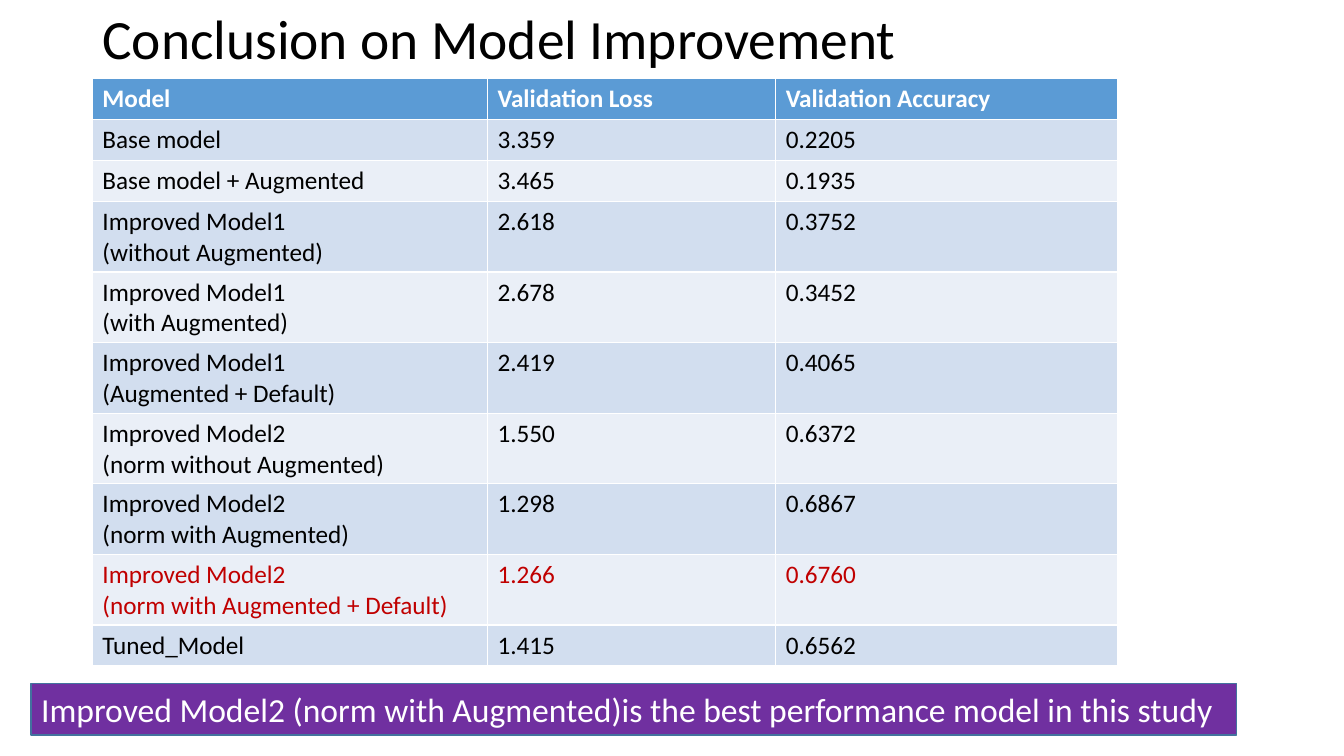
from typing import NamedTuple

from pptx import Presentation
from pptx import util as u
from pptx.dml.color import RGBColor
from pptx.enum import shapes, text

FONT = "Calibri"
BLACK, WHITE, RED = "000000", "FFFFFF", "C00000"
HEAD_FILL, BANDS = "5B9BD5", ("D2DEEF", "EAEFF7")
LINE_ROW, PAIR_ROW = 29.2, 50.4
WIDTHS = (282.2, 205.9, 244.1)


class Score(NamedTuple):
    model: str
    loss: str
    rate: str
    ink: str = BLACK


HEAD = Score("Model", "Validation Loss", "Validation Accuracy", WHITE)
SCORES = [
    Score("Base model", "3.359", "0.2205"),
    Score("Base model + Augmented", "3.465", "0.1935"),
    Score("Improved Model1\n(without Augmented)", "2.618", "0.3752"),
    Score("Improved Model1\n(with Augmented)", "2.678", "0.3452"),
    Score("Improved Model1\n(Augmented + Default)", "2.419", "0.4065"),
    Score("Improved Model2\n(norm without Augmented)", "1.550", "0.6372"),
    Score("Improved Model2\n(norm with Augmented)", "1.298", "0.6867"),
    Score("Improved Model2\n(norm with Augmented + Default)", "1.266", "0.6760", RED),
    Score("Tuned_Model", "1.415", "0.6562"),
]


def color(code: str) -> RGBColor:
    return RGBColor.from_string(code)


def write(frame, words: str, size: float, ink: str, bold: bool = False) -> None:
    """Fill a text frame and format every run in it."""
    frame.text = words
    frame.word_wrap = True
    for para in frame.paragraphs:
        para.alignment = text.PP_ALIGN.LEFT
        for run in para.runs:
            run.font.name = FONT
            run.font.size = u.Pt(size)
            run.font.bold = bold
            run.font.color.rgb = color(ink)


def add_title(slide) -> None:
    box = slide.shapes.add_textbox(u.Pt(66), u.Pt(3), u.Pt(773), u.Pt(53))
    frame = box.text_frame
    write(frame, "Conclusion on Model Improvement", 39.6, BLACK)
    frame.vertical_anchor = text.MSO_ANCHOR.MIDDLE
    frame.paragraphs[0].line_spacing = 0.9


def add_scores(slide) -> None:
    rows = [HEAD, *SCORES]
    table = slide.shapes.add_table(
        len(rows), len(WIDTHS), u.Pt(66), u.Pt(56.3), u.Pt(sum(WIDTHS)), u.Pt(419.2)
    ).table
    for col, width in zip(table.columns, WIDTHS):
        col.width = u.Pt(width)
    for i, score in enumerate(rows):
        table.rows[i].height = u.Pt(PAIR_ROW if "\n" in score.model else LINE_ROW)
        fill = BANDS[(i - 1) % 2] if i else HEAD_FILL
        for j, words in enumerate((score.model, score.loss, score.rate)):
            cell = table.cell(i, j)
            cell.fill.solid()
            cell.fill.fore_color.rgb = color(fill)
            write(cell.text_frame, words, 18, score.ink, bold=i == 0)


def add_banner(slide) -> None:
    bar = slide.shapes.add_shape(
        shapes.MSO_SHAPE.RECTANGLE, u.Pt(22.3), u.Pt(488.2), u.Pt(861), u.Pt(36.7)
    )
    bar.shadow.inherit = False
    bar.fill.solid()
    bar.fill.fore_color.rgb = color("7030A0")
    bar.line.color.rgb = color("43739E")
    bar.line.width = u.Pt(1)
    words = "Improved Model2 (norm with Augmented)is the best performance model in this study"
    write(bar.text_frame, words, 24, WHITE)
    bar.text_frame.vertical_anchor = text.MSO_ANCHOR.MIDDLE


def main() -> None:
    deck = Presentation()
    deck.slide_width, deck.slide_height = u.Pt(960), u.Pt(540)
    slide = deck.slides.add_slide(deck.slide_layouts[6])
    add_title(slide)
    add_banner(slide)
    add_scores(slide)
    deck.save("out.pptx")


if __name__ == "__main__":
    main()
